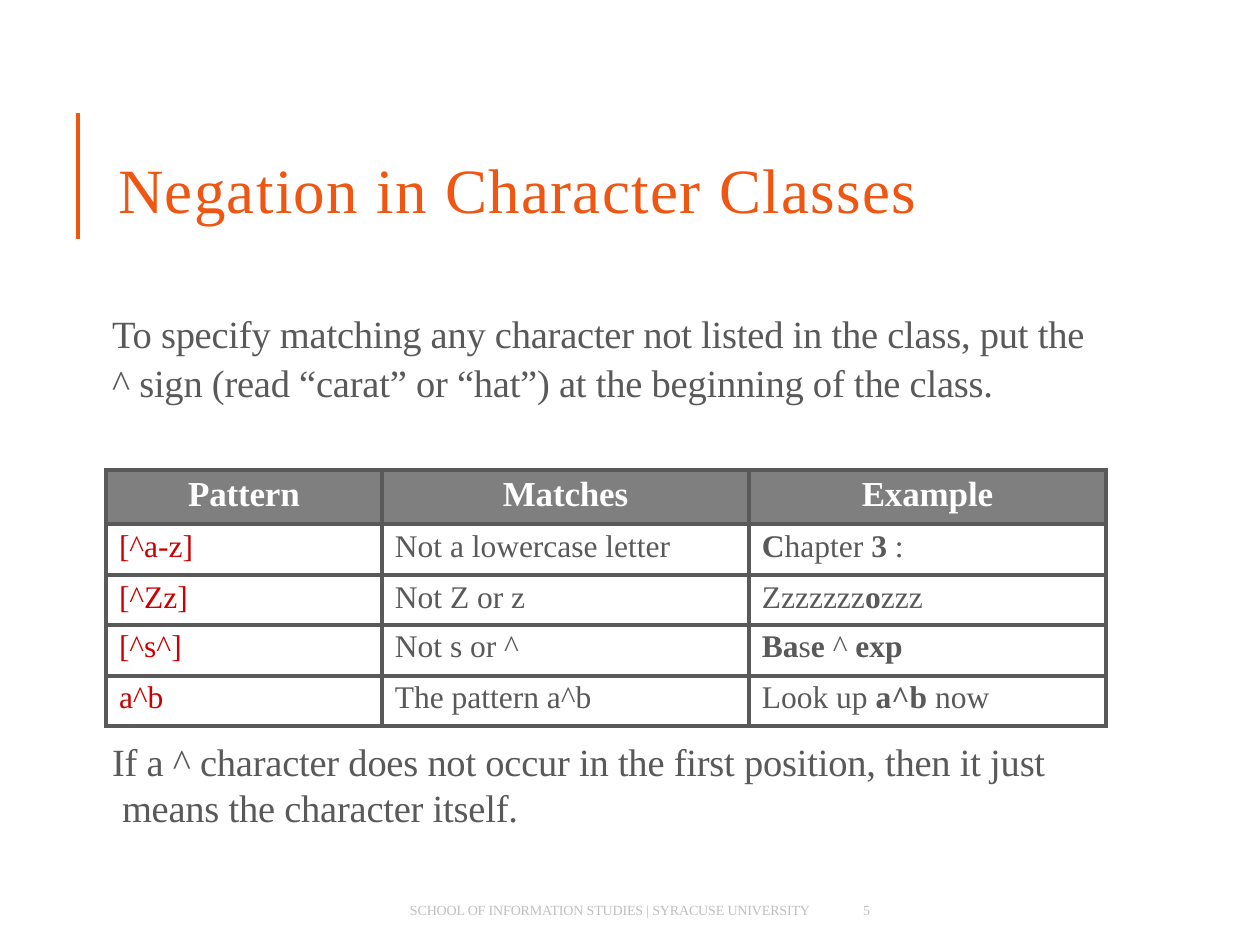
from pptx import Presentation
from pptx.dml.color import RGBColor
from pptx.enum.shapes import MSO_CONNECTOR
from pptx.enum.text import MSO_ANCHOR, PP_ALIGN
from pptx.oxml import parse_xml
from pptx.oxml.ns import nsdecls
from pptx.util import Pt

PX = 914400 // 126
FONT = "Times New Roman"
ORANGE, GRAY, RED = "EE5612", "595959", "CC0000"
HEADER_FILL, WHITE, PALE = "7F7F7F", "FFFFFF", "BFBFBF"

TITLE = "Negation in Character Classes"
INTRO = ["To specify matching any character not listed in the class, put the",
         "^ sign (read “carat” or “hat”) at the beginning of the class."]
NOTE = ["If a ^ character does not occur in the first position, "
        "then it just means the character itself."]
FOOTER = ["SCHOOL OF INFORMATION STUDIES | SYRACUSE UNIVERSITY"]
NUMBER = ["5"]

# Text between asterisks is bold.
HEADERS = ["Pattern", "Matches", "Example"]
ROWS = [
    ["[^a-z]", "Not a lowercase letter", "*C*hapter *3* :"],
    ["[^Zz]", "Not Z or z", "Zzzzzzz*o*zzz"],
    ["[^s^]", "Not s or ^", "*Ba*s*e* ^ *exp*"],
    ["a^b", "The pattern a^b", "Look up *a^b* now"],
]
TABLE_LEFT, TABLE_TOP = 106, 470
COL_WIDTHS = [276, 367, 357]
ROW_HEIGHTS = [54, 51, 50, 51, 50]


def px(*values):
    return [v * PX for v in values]


def rgb(value):
    return RGBColor.from_string(value)


def style(p, size, color, spacing=0):
    """Set the paragraph font; spacing is in hundredths of a point."""
    p.font.name, p.font.size = FONT, Pt(size)
    p.font.color.rgb = rgb(color)
    if spacing:
        for r in p.runs:
            r.font._element.set("spc", str(spacing))


def clear_margins(tf):
    tf.margin_left = tf.margin_right = tf.margin_top = tf.margin_bottom = 0


def add_text(s, box, lines, size, color, spacing=-10):
    tf = s.shapes.add_textbox(*px(*box)).text_frame
    tf.word_wrap = True
    clear_margins(tf)
    tf.text = "\n".join(lines)
    for p in tf.paragraphs:
        style(p, size, color, spacing)
    return tf


def set_borders(cell, color, width):
    tcPr = cell._tc.get_or_add_tcPr()
    for i, side in enumerate(("lnL", "lnR", "lnT", "lnB")):
        tcPr.insert(i, parse_xml(
            f'<a:{side} {nsdecls("a")} w="{Pt(width)}"><a:solidFill>'
            f'<a:srgbClr val="{color}"/></a:solidFill></a:{side}>'))


def fill_cell(cell, text, is_header, color):
    cell.margin_left = 0 if is_header else 13 * PX
    cell.margin_right = cell.margin_bottom = 0
    cell.margin_top = 5 * PX
    p = cell.text_frame.paragraphs[0]
    for i, part in enumerate(text.split("*")):
        if part:
            r = p.add_run()
            r.text = part
            if i % 2:
                r.font.bold = True
    if is_header:
        p.alignment = PP_ALIGN.CENTER
        p.font.bold = True
        cell.fill.solid()
        cell.fill.fore_color.rgb = rgb(HEADER_FILL)
    else:
        cell.fill.background()
    style(p, 20 if is_header else 18, color, -10 if is_header else 0)
    set_borders(cell, GRAY, 2.25)


def add_pattern_table(s):
    box = px(TABLE_LEFT, TABLE_TOP, sum(COL_WIDTHS), sum(ROW_HEIGHTS))
    table = s.shapes.add_table(len(ROW_HEIGHTS), len(COL_WIDTHS), *box).table
    table.horz_banding = False
    for col, width in zip(table.columns, px(*COL_WIDTHS)):
        col.width = width
    for row, height in zip(table.rows, px(*ROW_HEIGHTS)):
        row.height = height
    for i, texts in enumerate([HEADERS] + ROWS):
        for j, text in enumerate(texts):
            color = WHITE if i == 0 else RED if j == 0 else GRAY
            fill_cell(table.cell(i, j), text, i == 0, color)


def main():
    prs = Presentation()
    prs.slide_width, prs.slide_height = px(1260, 945)
    s = prs.slides.add_slide(prs.slide_layouts[5])

    bar = s.shapes.add_connector(MSO_CONNECTOR.STRAIGHT, *px(78, 239, 78, 113))
    bar.line.color.rgb, bar.line.width = rgb(ORANGE), Pt(2)
    bar._element.spPr.append(parse_xml(f'<a:effectLst {nsdecls("a")}/>'))

    title = s.shapes.title
    title.left, title.top, title.width, title.height = px(118, 150, 815, 79)
    tf = title.text_frame
    tf.text = TITLE
    tf.word_wrap, tf.vertical_anchor = False, MSO_ANCHOR.TOP
    clear_margins(tf)
    tf.paragraphs[0].alignment = PP_ALIGN.LEFT
    style(tf.paragraphs[0], 36, ORANGE, 80)

    intro = add_text(s, (112, 310, 990, 97), INTRO, 22, GRAY)
    intro.paragraphs[1].space_before = Pt(1.6)

    add_pattern_table(s)

    note = add_text(s, (112, 739, 953, 96), NOTE, 22, GRAY).paragraphs[0]
    note.line_spacing = Pt(26)
    pPr = note._p.get_or_add_pPr()
    pPr.set("marL", str(10 * PX))
    pPr.set("indent", str(-10 * PX))

    add_text(s, (410, 902, 413, 19), FOOTER, 8, PALE)
    add_text(s, (863, 902, 18, 19), NUMBER, 8, PALE, 0)
    prs.save("out.pptx")


if __name__ == "__main__":
    main()
